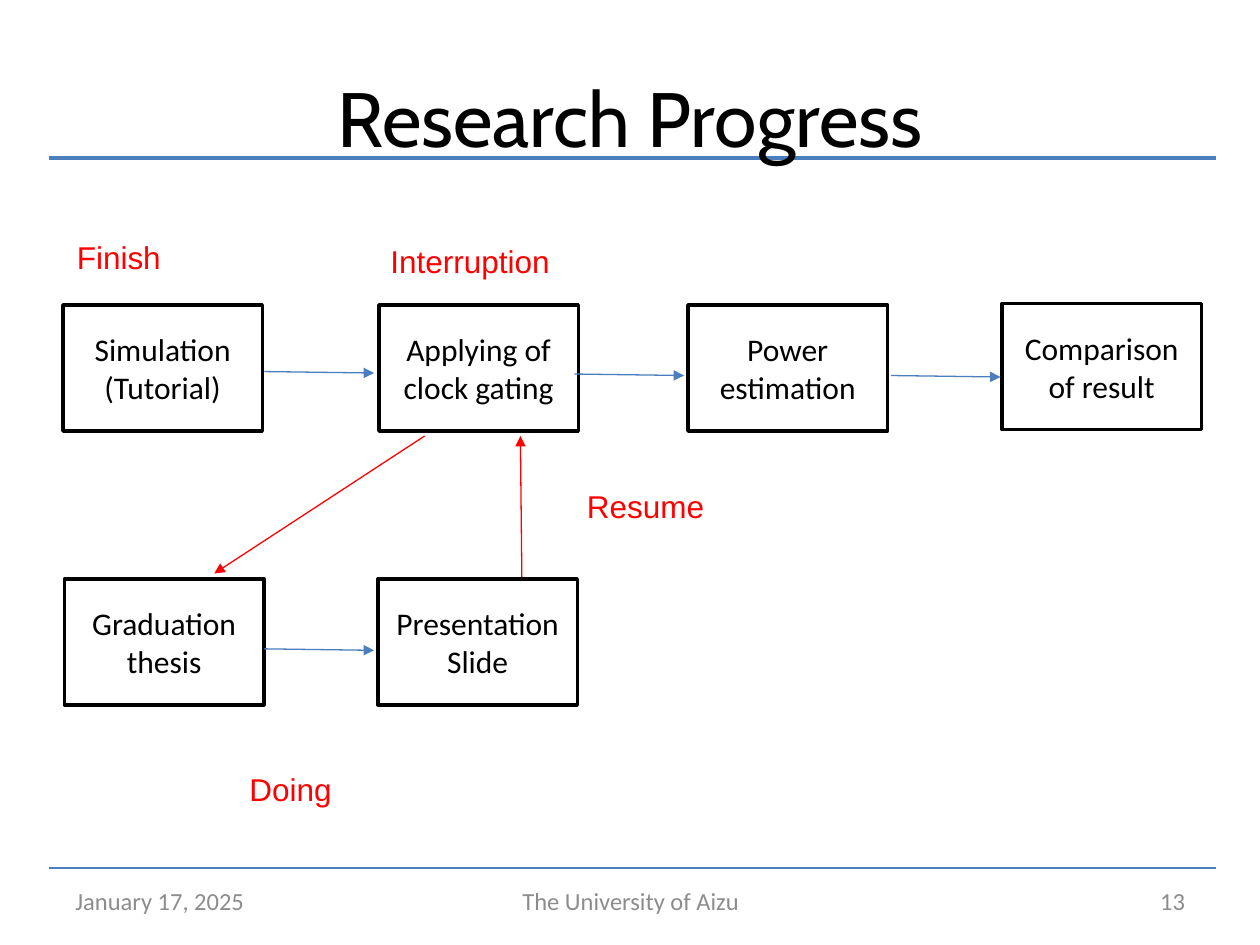
from dataclasses import dataclass

from lxml.etree import SubElement
from pptx import Presentation
from pptx.dml.color import RGBColor
from pptx.enum.shapes import MSO_CONNECTOR as Conn, MSO_SHAPE as Form
from pptx.enum.text import MSO_ANCHOR as Anchor, PP_ALIGN as Align
from pptx.oxml.ns import qn
from pptx.util import Cm, Pt

BLUE, RED, BLACK, WHITE, GRAY = "4B7EBC", "FF0000", "000000", "FFFFFF", "8C8C8C"
BOX_W, BOX_H = 4.02, 2.54
TOP, LOW = 6.15, 11.67


@dataclass
class Step:
    text: str
    left: float
    top: float


@dataclass
class Label:
    text: str
    left: float
    top: float
    width: float = 3.89
    height: float = 1.02
    size: int = 18
    font: str = "Arial"
    color: str = RED
    align: Align = Align.LEFT
    anchor: Anchor = Anchor.TOP


@dataclass
class Line:
    start: tuple[float, float]
    end: tuple[float, float]
    color: str = BLUE
    width: float = 0.75
    arrow: bool = True


def paint(target, color: str) -> None:
    target.rgb = RGBColor.from_string(color)


def write(shape, text: str, size: int, font: str, color: str, align: Align, anchor: Anchor) -> None:
    frame = shape.text_frame
    frame.word_wrap = True
    frame.vertical_anchor = anchor
    frame.text = text
    for para in frame.paragraphs:
        para.alignment = align
        para.font.size = Pt(size)
        para.font.name = font
        paint(para.font.color, color)


def draw_step(slide, step: Step) -> None:
    box = slide.shapes.add_shape(Form.RECTANGLE, Cm(step.left), Cm(step.top), Cm(BOX_W), Cm(BOX_H))
    box.shadow.inherit = False
    box.fill.solid()
    paint(box.fill.fore_color, WHITE)
    paint(box.line.color, BLACK)
    box.line.width = Pt(2)
    write(box, step.text, 18, "Calibri", BLACK, Align.CENTER, Anchor.MIDDLE)


def draw_label(slide, tag: Label) -> None:
    box = slide.shapes.add_textbox(Cm(tag.left), Cm(tag.top), Cm(tag.width), Cm(tag.height))
    write(box, tag.text, tag.size, tag.font, tag.color, tag.align, tag.anchor)


def draw_line(slide, line: Line) -> None:
    ends = [Cm(value) for value in (*line.start, *line.end)]
    link = slide.shapes.add_connector(Conn.STRAIGHT, *ends)
    paint(link.line.color, line.color)
    link.line.width = Pt(line.width)
    if line.arrow:
        SubElement(link.line._get_or_add_ln(), qn("a:tailEnd"), type="triangle")
    SubElement(link._element.spPr, qn("a:effectLst"))


def footer(text: str, left: float, width: float, align: Align) -> Label:
    return Label(text, left, 17.65, width, 1.02, 14, "Calibri", GRAY, align, Anchor.MIDDLE)


RULES = [
    Line((0.99, 17.5), (24.51, 17.5), width=1.5, arrow=False),
    Line((0.99, 3.18), (24.51, 3.18), width=2.25, arrow=False),
]
STEPS = [
    Step("Simulation\n(Tutorial)", 1.27, TOP),
    Step("Applying of clock gating", 7.64, TOP),
    Step("Power estimation", 13.87, TOP),
    Step("Comparison of result", 20.2, TOP - 0.03),
    Step("Graduation thesis", 1.3, LOW),
    Step("Presentation Slide", 7.62, LOW),
]
ARROWS = [
    *(Line((x, y), (x + 2.21, y + 0.03))
      for x, y in [(5.33, 7.49), (11.58, 7.54), (17.96, 7.57), (5.33, 13.08)]),
    Line((8.56, 8.79), (4.32, 11.56), RED),
    Line((10.52, 11.63), (10.49, 8.79), RED),
]
LABELS = [
    Label("Research Progress", 1.27, 0.76, 22.86, 3.18, 44, "Cabin", BLACK,
          Align.CENTER, Anchor.MIDDLE),
    footer("January 17, 2025", 1.27, 5.93, Align.LEFT),
    footer("The University of Aizu", 8.69, 8.05, Align.CENTER),
    footer("13", 18.21, 5.93, Align.RIGHT),
    Label("Finish", 1.3, 4.67),
    Label("Interruption", 7.62, 4.75),
    Label("Doing", 4.78, 15.39),
    Label("Resume", 11.58, 9.7),
]


def main() -> None:
    """Build the research progress slide."""
    deck = Presentation()
    deck.slide_width, deck.slide_height = Cm(25.4), Cm(19.05)
    slide = deck.slides.add_slide(deck.slide_layouts[6])
    for draw, items in [(draw_line, RULES), (draw_step, STEPS),
                        (draw_line, ARROWS), (draw_label, LABELS)]:
        for item in items:
            draw(slide, item)
    deck.save("out.pptx")


if __name__ == "__main__":
    main()
